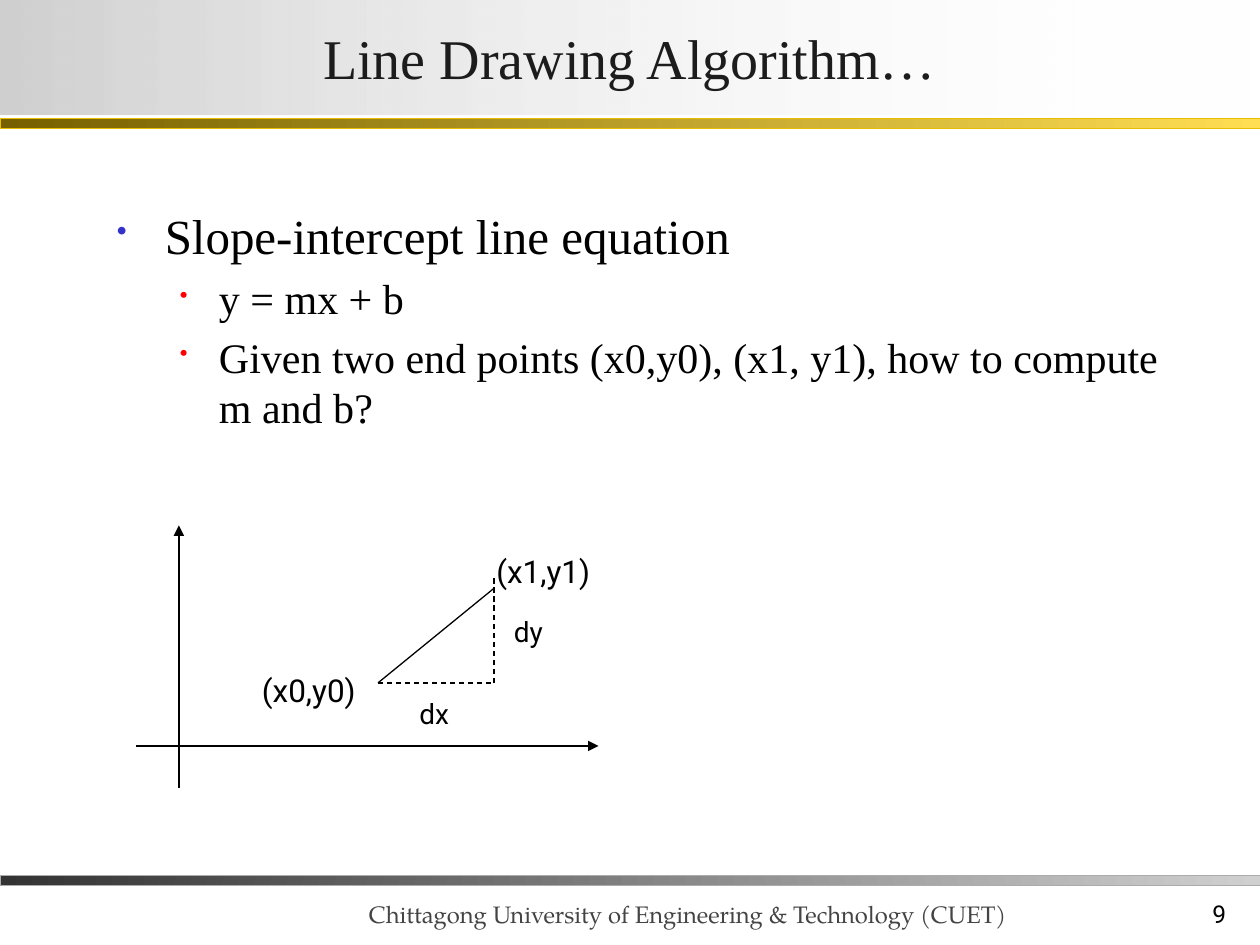
from dataclasses import dataclass
from lxml.etree import SubElement as Sub
from pptx import Presentation
from pptx.dml.color import RGBColor as Rgb
from pptx.enum.dml import MSO_LINE as Dash
from pptx.enum.shapes import MSO_CONNECTOR as Conn, MSO_SHAPE as Kind
from pptx.enum.text import MSO_ANCHOR as Anchor, MSO_AUTO_SIZE as Auto, PP_ALIGN as Align
from pptx.oxml.ns import qn
from pptx.util import Inches, Pt


@dataclass(frozen=True)
class Theme:
    serif: str = "Times New Roman"
    sans: str = "Roboto"
    book: str = "TeX Gyre Pagella"
    ink: str = "000000"
    head: str = "1C1C1C"
    foot: str = "444444"
    pale: str = "D0D0D0"
    white: str = "FFFFFF"
    gold: tuple = ("766000", "FFDE53", "E8BC00")
    gray: tuple = ("333333", "D0D0D0", "ABABAB")
    marks: tuple = ("3333CC", "FF0000")
    shares: tuple = (60, 55)
    sizes: tuple = (28, 24)
    title: float = 32
    point: float = 18
    delta: float = 16
    page: float = 14
    small: float = 13.6
    thin: float = 0.75
    edge: float = 0.25


class Deck:
    def __init__(self, theme):
        self.theme = theme
        self.show = Presentation()
        self.show.slide_width = Inches(10)
        self.show.slide_height = Inches(7.5)
        self.slide = self.show.slides.add_slide(self.show.slide_layouts[6])

    def run(self, para, text, font, size, color):
        run = para.add_run()
        run.text = text
        run.font.name = font
        run.font.size = Pt(size)
        run.font.color.rgb = Rgb.from_string(color)

    def band(self, top, high, start, end, edge=None):
        bar = self.slide.shapes.add_shape(
            Kind.RECTANGLE, 0, Inches(top), Inches(10), Inches(high))
        bar.shadow.inherit = False
        bar.fill.gradient()
        bar.fill.gradient_angle = 0
        for stop, color in zip(bar.fill.gradient_stops, (start, end)):
            stop.color.rgb = Rgb.from_string(color)
        if edge:
            bar.line.color.rgb = Rgb.from_string(edge)
            bar.line.width = Pt(self.theme.edge)
        else:
            bar.line.fill.background()
        return bar

    def title(self, text):
        bar = self.band(0, 0.91, self.theme.pale, self.theme.white)
        last = list(bar._element.spPr.iter(qn("a:srgbClr")))[-1]
        Sub(last, qn("a:alpha"), val="0")
        frame = bar.text_frame
        frame.vertical_anchor = Anchor.MIDDLE
        frame.margin_left = frame.margin_right = Inches(0.02)
        frame.margin_top = frame.margin_bottom = Inches(0.01)
        para = frame.paragraphs[0]
        para.alignment = Align.CENTER
        self.run(para, text, self.theme.serif, self.theme.title, self.theme.head)

    def box(self, left, top, wide, high):
        shape = self.slide.shapes.add_textbox(*map(Inches, (left, top, wide, high)))
        shape.text_frame.word_wrap = True
        return shape.text_frame

    def note(self, area, text, font, size, color, align=Align.LEFT):
        frame = self.box(*area)
        frame.vertical_anchor = Anchor.BOTTOM
        para = frame.paragraphs[0]
        para.alignment = align
        self.run(para, text, font, size, color)

    def label(self, area, text, size):
        frame = self.box(*area)
        frame.word_wrap = False
        frame.auto_size = Auto.SHAPE_TO_FIT_TEXT
        frame.margin_right = 0
        self.run(frame.paragraphs[0], text, self.theme.sans, size, self.theme.ink)

    def bullet(self, para, level):
        left, hang = ((0.38, 0.38), (0.81, 0.31))[level]
        props = para._p.get_or_add_pPr()
        props.set("marL", str(Inches(left)))
        props.set("indent", str(-Inches(hang)))
        tint = Sub(props, qn("a:buClr"))
        Sub(tint, qn("a:srgbClr"), val=self.theme.marks[level])
        Sub(props, qn("a:buSzPct"), val=str(self.theme.shares[level] * 1000))
        Sub(props, qn("a:buChar"), char="•")
        para.level = level

    def list(self, area, items):
        frame = self.box(*area)
        for index, (level, text) in enumerate(items):
            para = frame.add_paragraph() if index else frame.paragraphs[0]
            size = self.theme.sizes[level]
            self.bullet(para, level)
            if index:
                para.space_before = Pt(size * 0.2)
            self.run(para, text, self.theme.serif, size, self.theme.ink)

    def line(self, start, end, dash=False, arrow=False):
        line = self.slide.shapes.add_connector(
            Conn.STRAIGHT, *map(Inches, (*start, *end)))
        line.line.color.rgb = Rgb.from_string(self.theme.ink)
        line.line.width = Pt(self.theme.thin)
        if dash:
            line.line.dash_style = Dash.DASH
        if arrow:
            Sub(line.line._get_or_add_ln(), qn("a:tailEnd"), type="triangle")
        Sub(line._element.spPr, qn("a:effectLst"))


def main():
    theme = Theme()
    deck = Deck(theme)
    deck.note((7.75, 6.92, 2.08, 0.5), "9", theme.sans, theme.page,
              theme.ink, Align.RIGHT)
    deck.note((2.83, 6.8, 5.42, 0.62),
              "Chittagong University of Engineering & Technology (CUET)",
              theme.book, theme.small, theme.foot)
    deck.band(6.95, 0.08, *theme.gray)
    deck.band(0.94, 0.08, *theme.gold)
    deck.title("Line Drawing Algorithm…")
    deck.list((0.83, 1.58, 8.5, 4.5), (
        (0, "Slope-intercept line equation"),
        (1, "y = mx + b"),
        (1, "Given two end points (x0,y0), (x1, y1), how to compute m and b?"),
    ))

    deck.line((1.08, 5.92), (4.75, 5.92), arrow=True)
    deck.line((1.42, 6.25), (1.42, 4.17), arrow=True)
    first, corner = (3, 5.42), (3.92, 5.42)
    deck.line(first, (3.92, 4.67))
    deck.line(first, corner, dash=True)
    deck.line(corner, (3.92, 4.58), dash=True)

    for area, text, size in (
        ((1.98, 5.28, 0.99, 0.4), "(x0,y0)", theme.point),
        ((3.84, 4.33, 0.99, 0.4), "(x1,y1)", theme.point),
        ((3.23, 5.48, 0.44, 0.37), "dx", theme.delta),
        ((3.98, 4.83, 0.44, 0.37), "dy", theme.delta),
    ):
        deck.label(area, text, size)
    deck.show.save("out.pptx")


if __name__ == "__main__":
    main()
